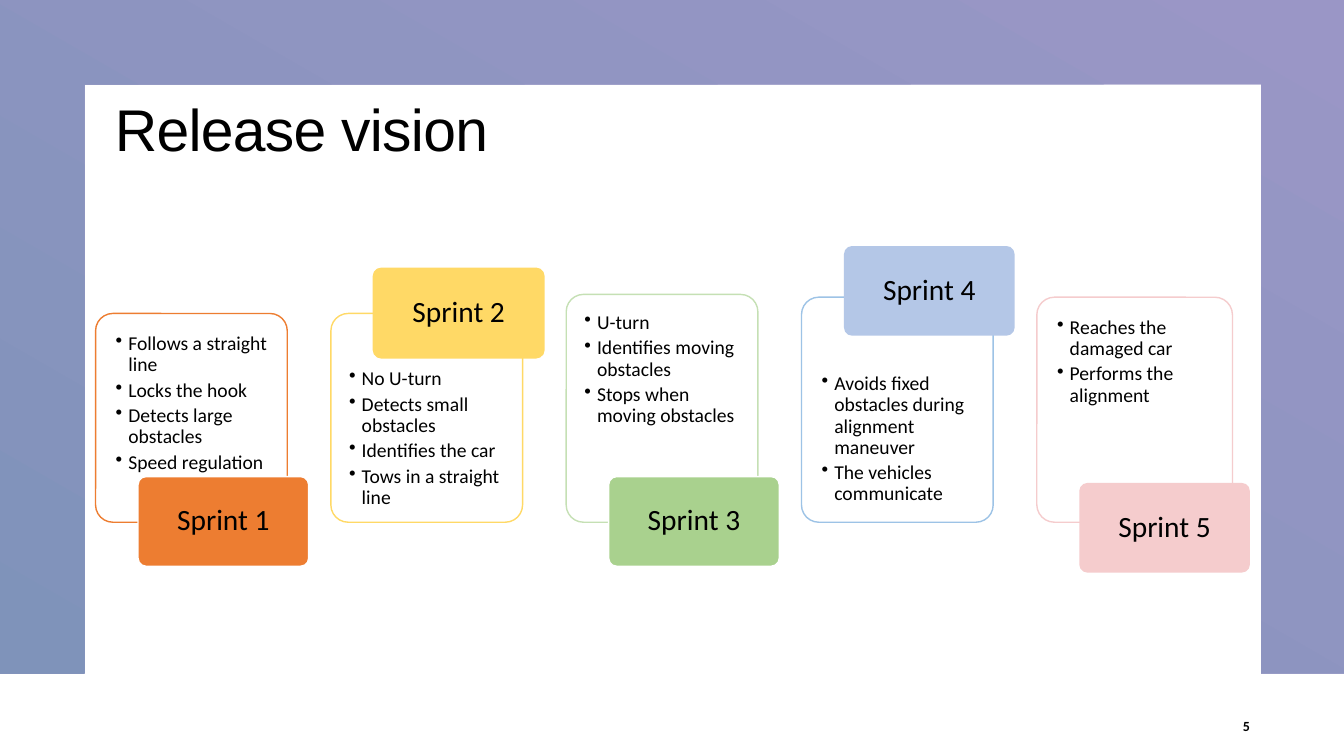
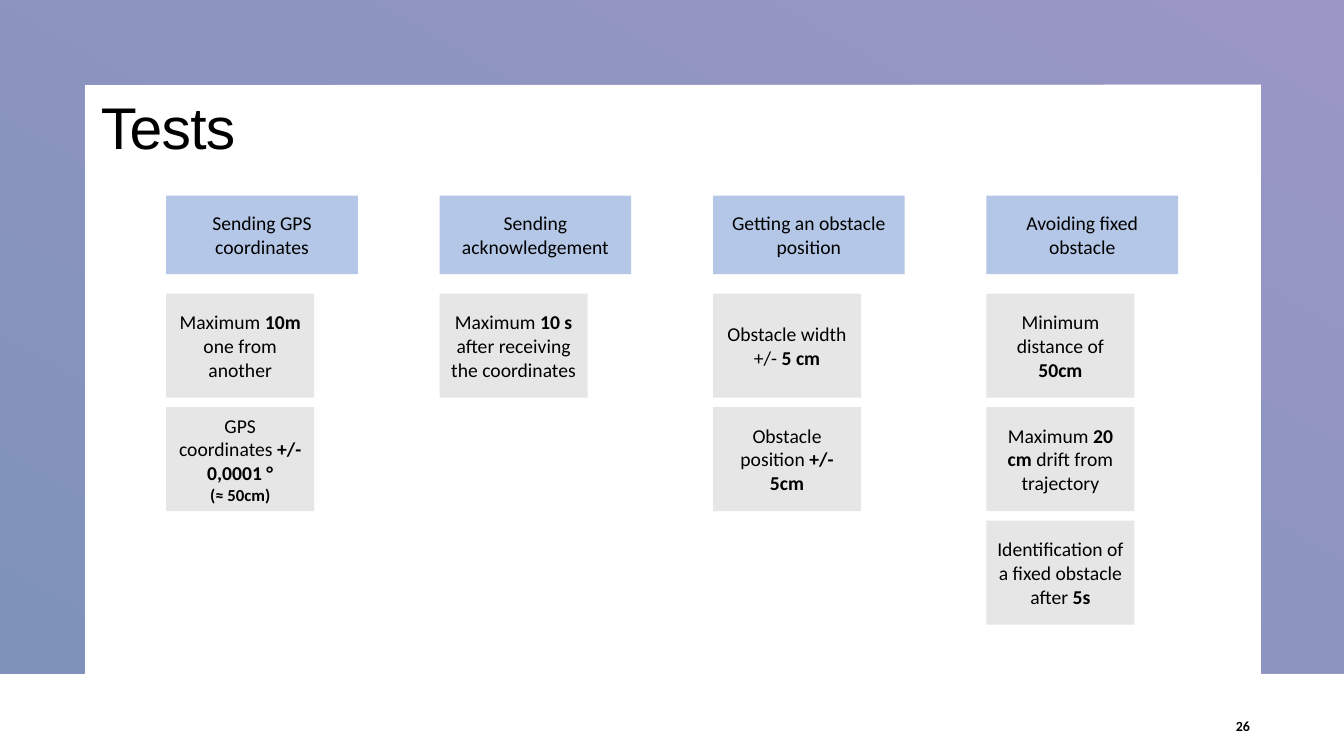
from dataclasses import dataclass

from lxml import etree
from pptx import Presentation
from pptx.dml.color import RGBColor
from pptx.enum.shapes import MSO_SHAPE
from pptx.enum.text import MSO_ANCHOR, MSO_AUTO_SIZE, PP_ALIGN
from pptx.oxml.ns import qn
from pptx.util import Cm, Pt

RECT, ROUNDED = MSO_SHAPE.RECTANGLE, MSO_SHAPE.ROUNDED_RECTANGLE
TOP, MIDDLE = MSO_ANCHOR.TOP, MSO_ANCHOR.MIDDLE
LEFT, CENTER, RIGHT = PP_ALIGN.LEFT, PP_ALIGN.CENTER, PP_ALIGN.RIGHT
NO_FIT = MSO_AUTO_SIZE.NONE


@dataclass(frozen=True)
class Theme:
    """Colours, fonts and type sizes of the deck."""
    text: str = "000000"
    white: str = "FFFFFF"
    band_start: str = "9A96C6"
    band_end: str = "7F93BA"
    orange: str = "ED7D31"
    yellow: str = "FFD966"
    green: str = "A9D18E"
    pale_green: str = "C5E0B4"
    blue: str = "9DC3E6"
    pale_blue: str = "B4C7E7"
    pink: str = "F5CCCD"
    grey: str = "E7E6E6"
    title_font: str = "Arial"
    body_font: str = "Calibri"
    title: int = 42
    label: int = 21
    body: int = 14
    small: int = 12
    number: int = 10


T = Theme()

SPRINTS = [
    dict(top=7.9, tab_top=12.01, inset=(0.38, 0.38), edge=T.orange, fill=T.orange, tab_edge=T.white,
         items=["Follows a straight line", "Locks the hook", "Detects large obstacles", "Speed regulation"]),
    dict(top=7.9, tab_top=6.76, inset=(0.33, 1.27), edge=T.yellow, fill=T.yellow, tab_edge=T.yellow,
         items=["No U-turn", "Detects small obstacles", "Identifies the car", "Tows in a straight line"]),
    dict(top=7.42, tab_top=12.01, inset=(0.33, 0.33), edge=T.pale_green, fill=T.green, tab_edge=T.white,
         items=["U-turn", "Identifies moving obstacles", "Stops when moving obstacles"]),
    dict(top=7.49, tab_top=6.2, inset=(0.38, 1.8), edge=T.blue, fill=T.pale_blue,
         items=["Avoids fixed obstacles during alignment maneuver", "The vehicles communicate"]),
    dict(top=7.49, tab_top=12.17, inset=(0.38, 0.38), edge=T.pink, fill=T.pink, width=4.93,
         items=["Reaches the damaged car", "Performs the alignment"]),
]

TESTS = [
    ("Sending GPS coordinates", [
        [("Maximum *10m* one from another", T.body)],
        [("GPS coordinates *+/- 0,0001 °*", T.body), ("*(≈ 50cm)*", T.small)]]),
    ("Sending acknowledgement", [
        [("Maximum *10 s *after receiving the coordinates", T.body)]]),
    ("Getting an obstacle position", [
        [("Obstacle width", T.body), ("+/- *5 cm*", T.body)],
        [("Obstacle position *+/- 5cm*", T.body)]]),
    ("Avoiding fixed obstacle", [
        [("Minimum distance of *50cm*", T.body)],
        [("Maximum *20 cm *drift from trajectory", T.body)],
        [("Identification of a fixed obstacle after *5s*", T.body)]]),
]


class Deck:
    """Presentation style together with the slide being drawn."""

    def __init__(self, theme):
        """Open an empty widescreen presentation."""
        self.theme = theme
        self.prs = Presentation()
        self.prs.slide_width, self.prs.slide_height = Cm(33.87), Cm(19.05)
        self.s = None

    def slide(self, title, number, x, y, h):
        """Start a slide with its band, title and number."""
        self.s = self.prs.slides.add_slide(self.prs.slide_layouts[5])
        self.band()
        self.title(title, x, y, h)
        self.number(number)

    def band(self):
        """Draw the gradient band around the white page."""
        points = [(33.87, 0), (33.87, 16.97), (31.78, 16.97), (31.78, 2.13),
                  (2.13, 2.13), (2.13, 16.97), (0, 16.97)]
        builder = self.s.shapes.build_freeform(0, 0)
        builder.add_line_segments([(Cm(x), Cm(y)) for x, y in points], close=True)
        sp = builder.convert_to_shape()
        sp.shadow.inherit = False
        sp.line.fill.background()
        sp.fill.gradient()
        sp.fill.gradient_angle = 240
        for stop, color in zip(sp.fill.gradient_stops, (self.theme.band_start, self.theme.band_end)):
            stop.color.rgb = RGBColor.from_string(color)

    def title(self, text, x, y, h):
        """Place and format the title placeholder."""
        sp = self.s.shapes.title
        sp.left, sp.top, sp.width, sp.height = Cm(x), Cm(y), Cm(25.4), Cm(h)
        tf = sp.text_frame
        tf.auto_size, tf.vertical_anchor = NO_FIT, TOP
        p = tf.paragraphs[0]
        p.alignment, p.line_spacing = LEFT, 0.95
        r = self.run(p, text, self.theme.title, font=self.theme.title_font)
        r.font._element.set("spc", "-50")

    def number(self, number):
        """Write the slide number."""
        sp = self.s.shapes.add_textbox(Cm(30.28), Cm(17.78), Cm(1.47), Cm(1.02))
        tf = sp.text_frame
        tf.word_wrap, tf.vertical_anchor = True, MIDDLE
        p = tf.paragraphs[0]
        p.alignment = RIGHT
        self.run(p, str(number), self.theme.number, bold=True)

    def run(self, p, text, size, bold=False, font=None):
        """Add one formatted run."""
        r = p.add_run()
        r.text = text
        r.font.name, r.font.size, r.font.bold = font or self.theme.body_font, Pt(size), bold
        r.font.color.rgb = RGBColor.from_string(self.theme.text)
        return r

    def box(self, kind, x, y, w, h, fill=None, edge=None):
        """Draw a flat shape."""
        sp = self.s.shapes.add_shape(kind, Cm(x), Cm(y), Cm(w), Cm(h))
        sp.shadow.inherit = False
        if kind == ROUNDED:
            sp.adjustments[0] = 0.09
        if fill:
            sp.fill.solid()
            sp.fill.fore_color.rgb = RGBColor.from_string(fill)
        else:
            sp.fill.background()
        if edge:
            sp.line.color.rgb = RGBColor.from_string(edge)
            sp.line.width = Pt(1)
        else:
            sp.line.fill.background()
        sp.text_frame.word_wrap = True
        return sp

    def paragraphs(self, tf, count):
        """Yield the first paragraph and the ones added after it."""
        for i in range(count):
            yield tf.add_paragraph() if i else tf.paragraphs[0]

    def label(self, kind, x, y, w, h, paragraphs, fill, edge=None, spacing=1.0):
        """Draw a shape with centred text, bold between asterisks."""
        tf = self.box(kind, x, y, w, h, fill, edge).text_frame
        tf.vertical_anchor = MIDDLE
        for p, (text, size) in zip(self.paragraphs(tf, len(paragraphs)), paragraphs):
            p.alignment, p.line_spacing = CENTER, spacing
            for i, part in enumerate(text.split("*")):
                if part:
                    self.run(p, part, size, bold=i % 2 == 1)

    def bullets(self, x, y, w, h, items, edge, inset):
        """Draw an outlined card with a bulleted list."""
        tf = self.box(ROUNDED, x, y, w, h, edge=edge).text_frame
        side, top = inset
        tf.margin_left = tf.margin_right = Cm(side)
        tf.margin_top, tf.margin_bottom = Cm(top), Cm(0)
        tf.vertical_anchor = TOP
        for p, item in zip(self.paragraphs(tf, len(items)), items):
            pPr = p._p.get_or_add_pPr()
            pPr.set("marL", str(Cm(0.32)))
            pPr.set("indent", str(-Cm(0.32)))
            etree.SubElement(pPr, qn("a:buChar"), char="•")
            p.alignment, p.line_spacing, p.space_after = LEFT, 0.9, Pt(3)
            self.run(p, item, self.theme.body)


def release_vision(deck):
    """Draw the five sprints with alternating labels."""
    deck.slide("Release vision", 5, 2.64, 2.34, 3.73)
    bottom = 13.16
    for i, sprint in enumerate(SPRINTS):
        x, top = 2.41 + 5.93 * i, sprint["top"]
        deck.bullets(x, top, sprint.get("width", 4.83), bottom - top,
                     sprint["items"], sprint["edge"], sprint["inset"])
        deck.label(ROUNDED, x + 1.07, sprint["tab_top"], 4.3, 2.26, [(f"Sprint {i + 1}", T.label)],
                   sprint["fill"], sprint.get("tab_edge"), 0.9)


def tests(deck):
    """Draw one column of criteria for each test."""
    deck.slide("Tests", 26, 2.29, 2.29, 2.08)
    for col, (heading, criteria) in enumerate(TESTS):
        x = 4.19 + 6.89 * col
        deck.label(RECT, x, 4.93, 4.83, 1.98, [(heading, T.body)], T.pale_blue)
        for row, paragraphs in enumerate(criteria):
            deck.label(RECT, x, 7.4 + 2.86 * row, 3.73, 2.62, paragraphs, T.grey)


def main():
    """Build and save the deck."""
    deck = Deck(T)
    release_vision(deck)
    tests(deck)
    deck.prs.save("out.pptx")


if __name__ == "__main__":
    main()
